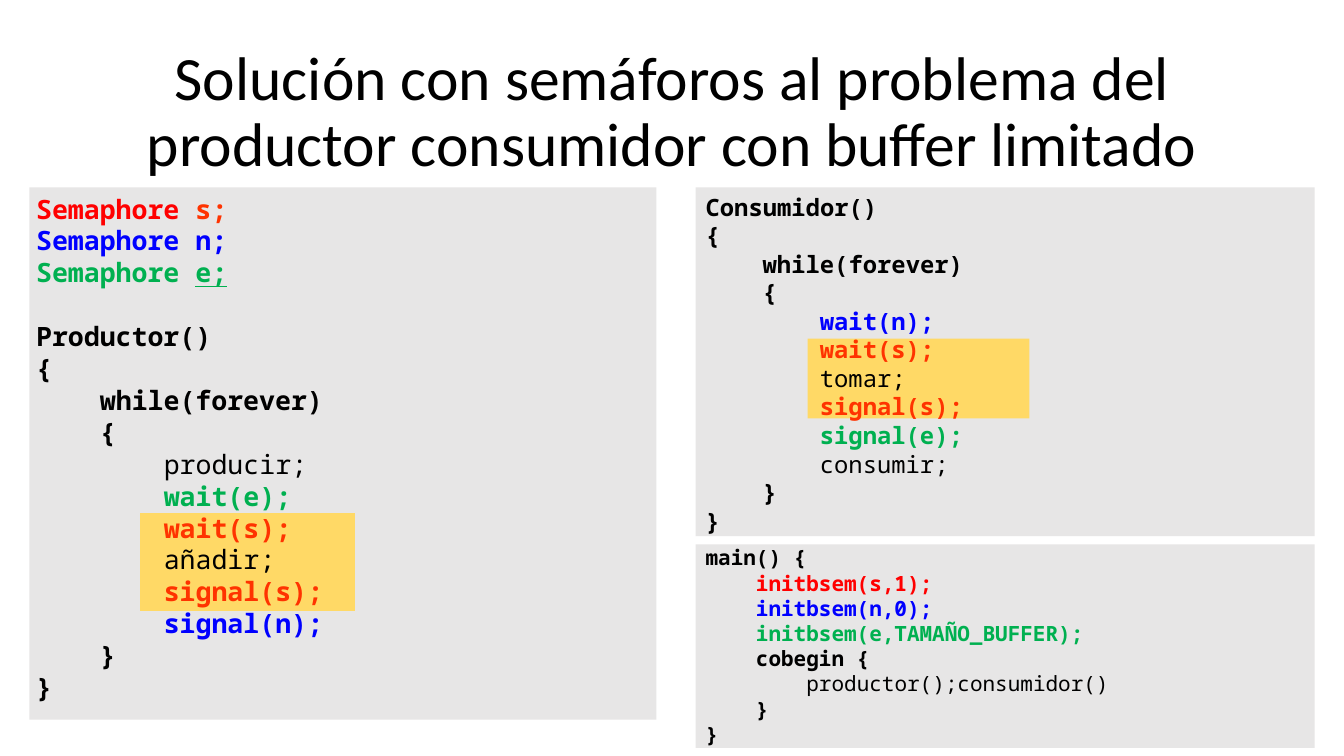
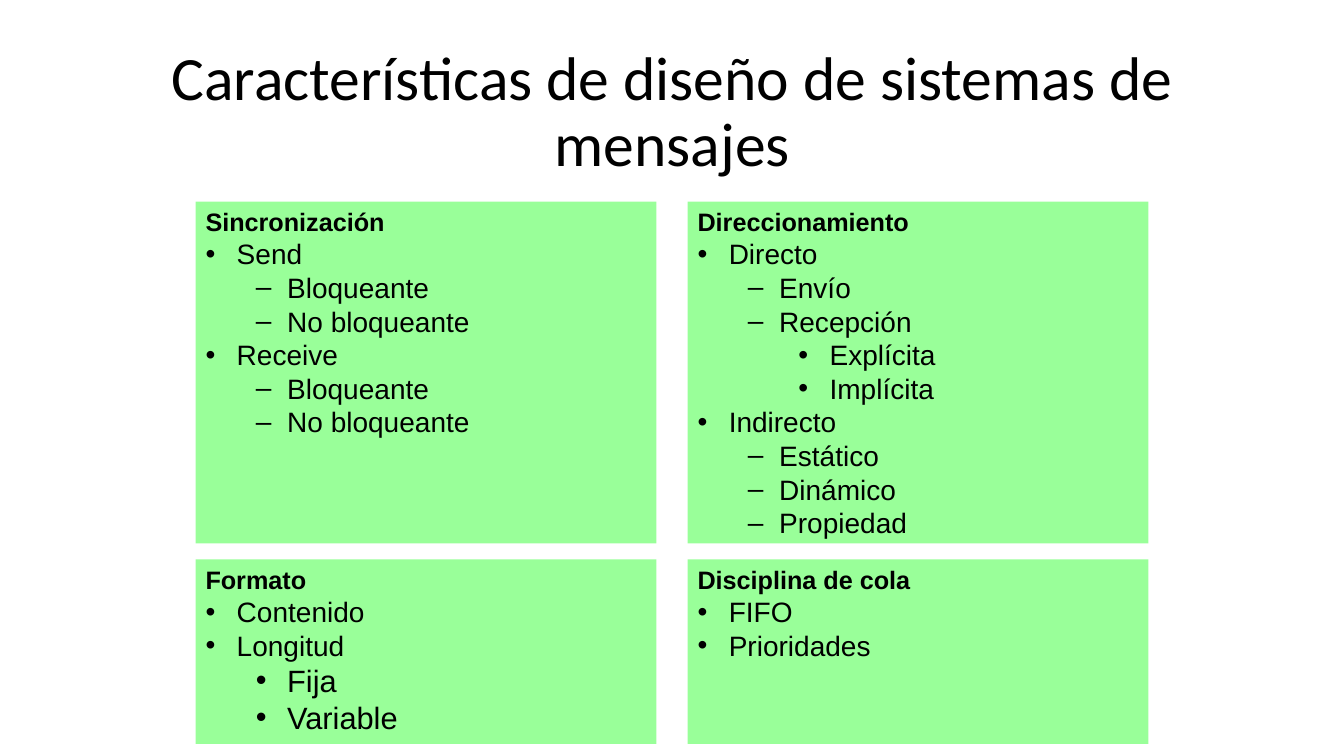
from pptx import Presentation
from pptx.dml.color import RGBColor
from pptx.enum.shapes import MSO_SHAPE
from pptx.enum.text import MSO_ANCHOR, PP_ALIGN
from pptx.oxml import parse_xml
from pptx.oxml.ns import nsdecls
from pptx.util import Inches, Pt

# Shared look
COLORS = {"black": "000000", "panel": "E7E6E6", "critical": "FFD966", "card": "99FF99",
          "red": "FF0000", "orange": "FF3300", "blue": "0000FF", "green": "00B050"}
TITLE_FONT, CODE_FONT, LIST_FONT = "Calibri", "Noto Sans Mono", "Arial"
TITLE_BOX = (0.92, 0.4, 11.5, 1.45)
LINE_HEIGHT = 1.2      # line pitch in ems
CODE_INDENT = 4 * 0.6  # four monospaced characters, in ems

# Run formats used in the code listings
STYLES = {
    "code": {"color": "black", "bold": True},
    "plain": {"color": "black", "bold": False},
    "red": {"color": "red", "bold": True},
    "mutex": {"color": "orange", "bold": True},
    "items": {"color": "blue", "bold": True},
    "space": {"color": "green", "bold": True},
    "space_underlined": {"color": "green", "bold": True, "underline": True},
}

# Slide 1: each line is an indent level followed by its (text, style) runs
CODE_TITLE = "Solución con semáforos al problema del productor consumidor con buffer limitado"
DECLARATIONS = [
    (0, ("Semaphore ", "red"), ("s;", "mutex")),
    (0, ("Semaphore n;", "items")),
    (0, ("Semaphore ", "space"), ("e;", "space_underlined")),
]
PRODUCER = [
    (0, ("Productor()", "code")),
    (0, ("{", "code")),
    (1, ("while(forever)", "code")),
    (1, ("{", "code")),
    (2, ("producir;", "plain")),
    (2, ("wait(e);", "space")),
    (2, ("wait(s);", "mutex")),
    (2, ("añadir;", "plain")),
    (2, ("signal(s);", "mutex")),
    (2, ("signal(n);", "items")),
    (1, ("}", "code")),
    (0, ("}", "code")),
]
CONSUMER = [
    (0, ("Consumidor()", "code")),
    (0, ("{", "code")),
    (1, ("while(forever)", "code")),
    (1, ("{", "code")),
    (2, ("wait(n);", "items")),
    (2, ("wait(s);", "mutex")),
    (2, ("tomar;", "plain")),
    (2, ("signal(s);", "mutex")),
    (2, ("signal(e);", "space")),
    (2, ("consumir;", "plain")),
    (1, ("}", "code")),
    (0, ("}", "code")),
]
MAIN = [
    (0, ("main() {", "code")),
    (1, ("initbsem(s,1);", "red")),
    (1, ("initbsem(n,0);", "items")),
    (1, ("initbsem(e,TAMAÑO_BUFFER);", "space")),
    (1, ("cobegin {", "code")),
    (2, ("productor();consumidor()", "plain")),
    (1, ("}", "code")),
    (0, ("}", "code")),
]
PANELS = [
    ("panel", (6.9, 5.4, 6.14, 2.02)),
    ("panel", (0.29, 1.86, 6.22, 5.28)),
    ("panel", (6.9, 1.86, 6.14, 3.46)),
    ("critical", (8.01, 3.36, 2.2, 0.79)),
    ("critical", (1.39, 5.09, 2.13, 0.97)),
]
# Each listing: box, then blocks of (lines, size, gap before in points)
LISTINGS = [
    ((6.9, 1.86, 5.2, 5.12), [(CONSUMER, 17, 0), (MAIN, 15, 7.2)]),
    ((0.26, 1.86, 5.51, 4.72), [(DECLARATIONS, 19, 0), (PRODUCER, 19, 22.8)]),
]

# Slide 2: rows of cards, each a heading and (level, bullet, text, size) items
CARDS_TITLE = "Características de diseño de sistemas de mensajes"
CARD_ROWS = [
    [("Sincronización", [
        (0, "•", "Send", 20), (1, "–", "Bloqueante", 20), (1, "–", "No bloqueante", 20),
        (0, "•", "Receive", 20), (1, "–", "Bloqueante", 20), (1, "–", "No bloqueante", 20)]),
     ("Direccionamiento", [
         (0, "•", "Directo", 20), (1, "–", "Envío", 20), (1, "–", "Recepción", 20),
         (2, "•", "Explícita", 20), (2, "•", "Implícita", 20),
         (0, "•", "Indirecto", 20), (1, "–", "Estático", 20), (1, "–", "Dinámico", 20),
         (1, "–", "Propiedad", 20)])],
    [("Formato", [
        (0, "•", "Contenido", 20), (0, "•", "Longitud", 20),
        (1, "•", "Fija", 22), (1, "•", "Variable", 22)]),
     ("Disciplina de cola", [(0, "•", "FIFO", 20), (0, "•", "Prioridades", 20)])],
]
CARD_LEFT, CARD_TOP, CARD_WIDTH = 1.94, 2, 4.57
CARD_HEIGHTS = (3.39, 1.83)
COLUMN_GAP, ROW_GAP = 0.31, 0.16
HANGING, LEVEL_STEP = 0.31, 0.5


def add_run(paragraph, text, font, size, color="black", **formats):
    run = paragraph.add_run()
    run.text = text
    run.font.color.rgb = RGBColor.from_string(COLORS[color])
    for name, value in {"name": font, "size": Pt(size), **formats}.items():
        setattr(run.font, name, value)


def next_paragraph(frame, size):
    """Return the unused first paragraph or a new one, with a fixed line pitch."""
    first = frame.paragraphs[0]
    paragraph = frame.add_paragraph() if first.runs else first
    paragraph.alignment = PP_ALIGN.LEFT
    paragraph.line_spacing = Pt(size * LINE_HEIGHT)
    return paragraph


def set_indent(paragraph, left, hanging=0, bullet=None):
    properties = paragraph._p.get_or_add_pPr()
    properties.set("marL", str(Inches(left)))
    properties.set("indent", str(-Inches(hanging)))
    if bullet:
        properties.append(parse_xml(f'<a:buFont {nsdecls("a")} typeface="Arial"/>'))
        properties.append(parse_xml(f'<a:buChar {nsdecls("a")} char="{bullet}"/>'))


def add_text_box(slide, box, anchor=MSO_ANCHOR.TOP):
    frame = slide.shapes.add_textbox(*map(Inches, box)).text_frame
    frame.word_wrap = True
    frame.vertical_anchor = anchor
    return frame


def add_panel(slide, box, color):
    shape = slide.shapes.add_shape(MSO_SHAPE.RECTANGLE, *map(Inches, box))
    shape.shadow.inherit = False
    shape.fill.solid()
    shape.fill.fore_color.rgb = RGBColor.from_string(COLORS[color])
    shape.line.fill.background()
    return shape


def add_titled_slide(presentation, title):
    slide = presentation.slides.add_slide(presentation.slide_layouts[6])
    paragraph = add_text_box(slide, TITLE_BOX, MSO_ANCHOR.MIDDLE).paragraphs[0]
    paragraph.alignment = PP_ALIGN.CENTER
    paragraph.line_spacing = 0.9
    add_run(paragraph, title, TITLE_FONT, 44)
    return slide


def add_listing(slide, box, blocks):
    frame = add_text_box(slide, box)
    for lines, size, gap in blocks:
        for index, (level, *runs) in enumerate(lines):
            paragraph = next_paragraph(frame, size)
            if index == 0 and gap:
                paragraph.space_before = Pt(gap)
            set_indent(paragraph, level * CODE_INDENT * size / 72)
            for text, style in runs:
                add_run(paragraph, text, CODE_FONT, size, **STYLES[style])


def add_card(slide, box, heading, items):
    frame = add_panel(slide, box, "card").text_frame
    frame.word_wrap = True
    frame.vertical_anchor = MSO_ANCHOR.TOP
    add_run(next_paragraph(frame, 18), heading, LIST_FONT, 18, bold=True)
    for level, bullet, text, size in items:
        paragraph = next_paragraph(frame, size)
        paragraph.level = level
        set_indent(paragraph, HANGING + level * LEVEL_STEP, HANGING, bullet)
        add_run(paragraph, text, LIST_FONT, size)


def main():
    presentation = Presentation()
    presentation.slide_width, presentation.slide_height = Inches(13.33), Inches(7.5)

    # Producer and consumer code
    slide = add_titled_slide(presentation, CODE_TITLE)
    for color, box in PANELS:
        add_panel(slide, box, color)
    for box, blocks in LISTINGS:
        add_listing(slide, box, blocks)

    # Grid of design features
    slide = add_titled_slide(presentation, CARDS_TITLE)
    top = CARD_TOP
    for height, row in zip(CARD_HEIGHTS, CARD_ROWS):
        for column, (heading, items) in enumerate(row):
            left = CARD_LEFT + column * (CARD_WIDTH + COLUMN_GAP)
            add_card(slide, (left, top, CARD_WIDTH, height), heading, items)
        top += height + ROW_GAP

    presentation.save("out.pptx")


if __name__ == "__main__":
    main()
